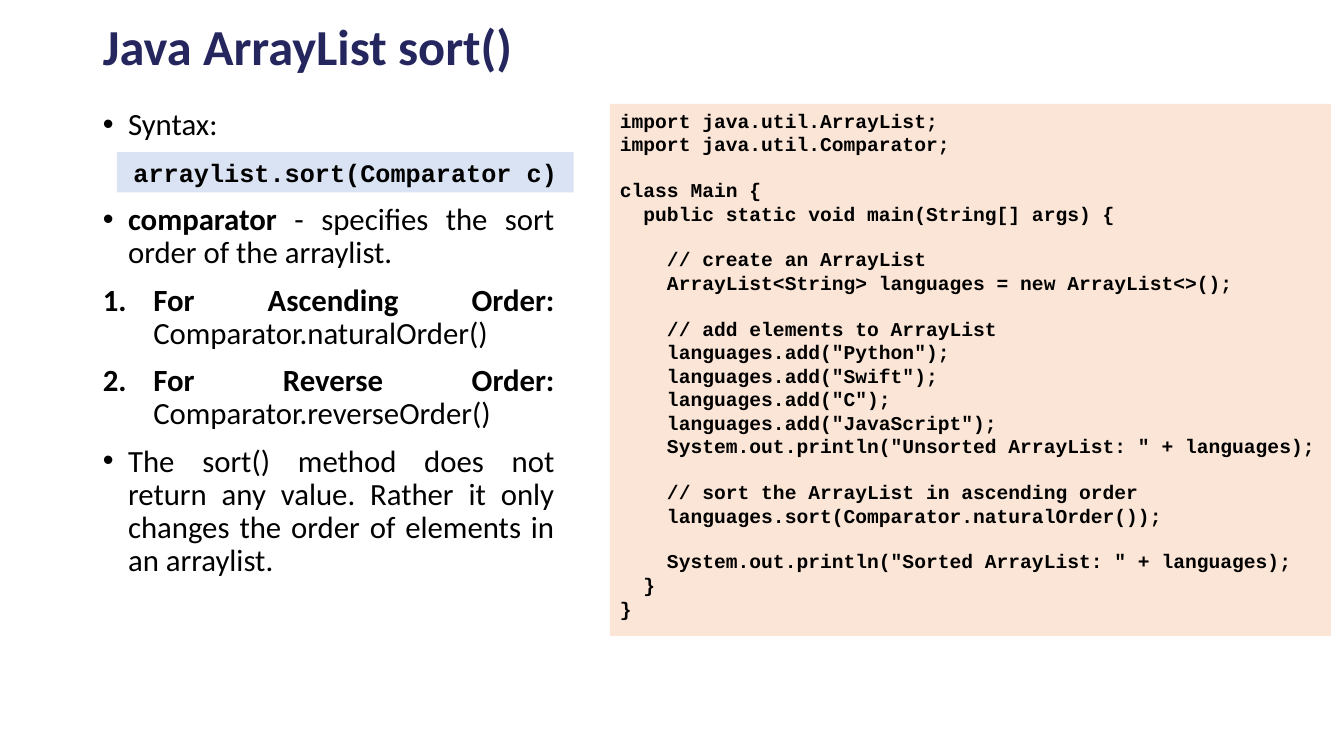
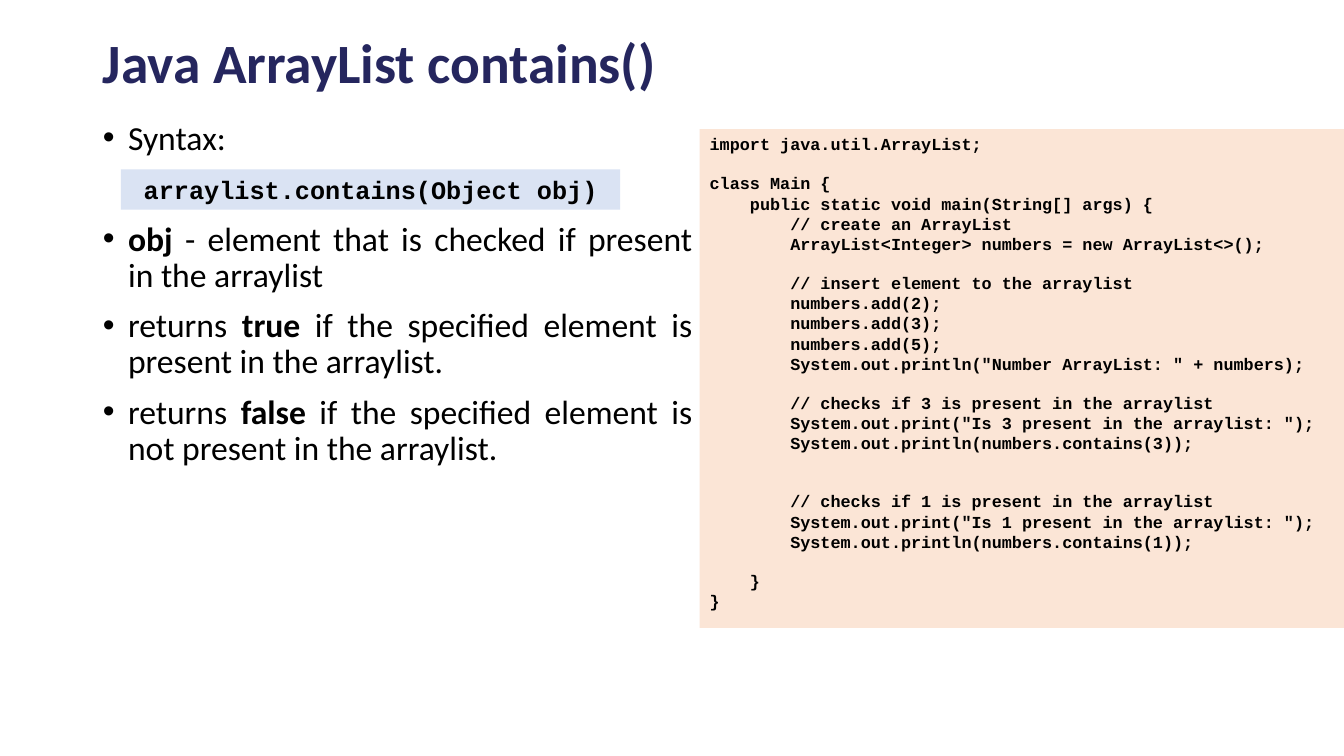
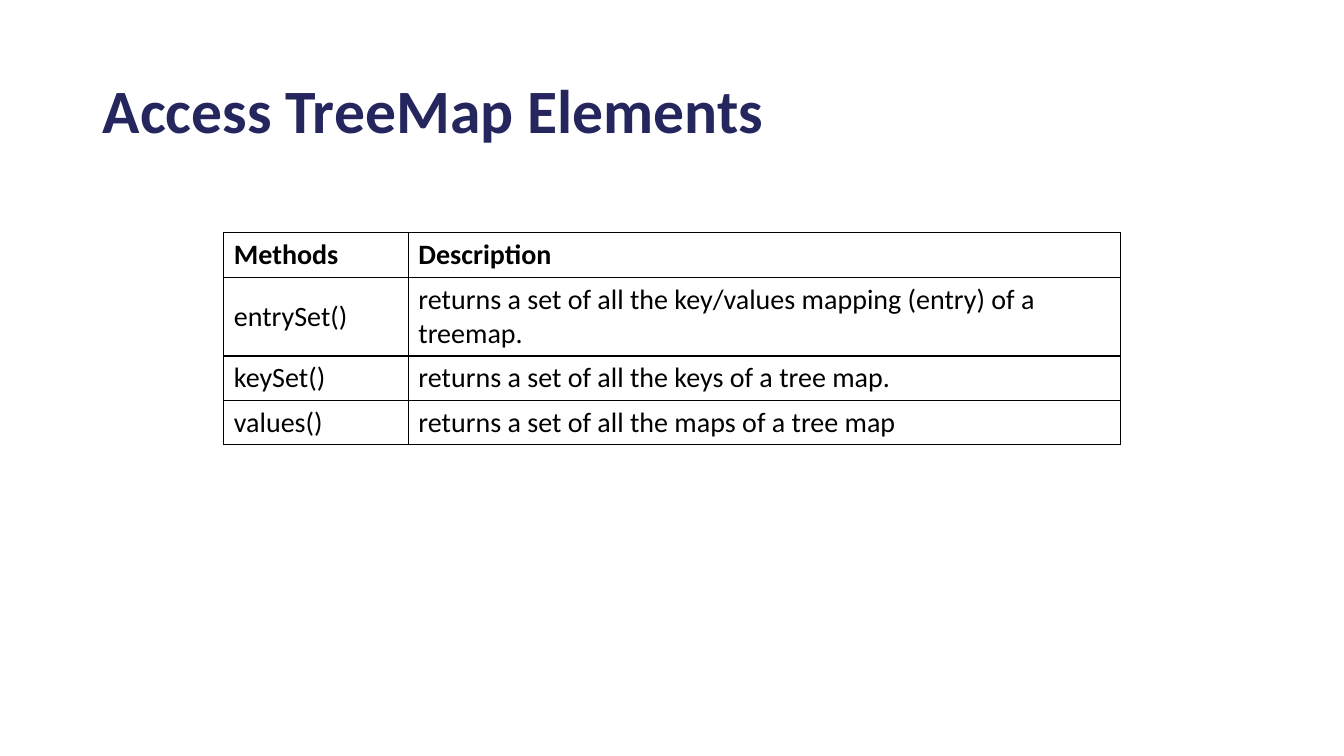
from lxml.etree import SubElement
from pptx import Presentation
from pptx.dml.color import RGBColor
from pptx.enum.shapes import MSO_SHAPE as Preset
from pptx.enum.text import MSO_ANCHOR as Anchor, MSO_AUTO_SIZE as AutoSize, PP_ALIGN as Align
from pptx.oxml import parse_xml
from pptx.oxml.ns import nsdecls, qn
from pptx.util import Inches, Pt

# Shared style
NAVY, BLACK = "25265E", "000000"
SYNTAX_BLUE, CODE_PEACH = "DAE3F3", "FBE5D6"
TEXT_FONT, CODE_FONT = "Calibri", "Courier New"
LEFT = 0.92
TITLE_WIDTH = 11.5
LINE_SPACING = 0.9
PARA_GAP = 10
TEXT_LINE, CODE_LINE = 1.22, 1.133  # line height as a share of font size

# Layout positions in the default template
TITLE_AND_CONTENT, TITLE_ONLY = 1, 5

SORT_CODE = """import java.util.ArrayList;
import java.util.Comparator;

class Main {
  public static void main(String[] args) {

    // create an ArrayList
    ArrayList<String> languages = new ArrayList<>();

    // add elements to ArrayList
    languages.add("Python");
    languages.add("Swift");
    languages.add("C");
    languages.add("JavaScript");
    System.out.println("Unsorted ArrayList: " + languages);

    // sort the ArrayList in ascending order
    languages.sort(Comparator.naturalOrder());

    System.out.println("Sorted ArrayList: " + languages);
  }
}"""

CONTAINS_CODE = """import java.util.ArrayList;

class Main {
    public static void main(String[] args) {
        // create an ArrayList
        ArrayList<Integer> numbers = new ArrayList<>();

        // insert element to the arraylist
        numbers.add(2);
        numbers.add(3);
        numbers.add(5);
        System.out.println("Number ArrayList: " + numbers);

        // checks if 3 is present in the arraylist
        System.out.print("Is 3 present in the arraylist: ");
        System.out.println(numbers.contains(3));


        // checks if 1 is present in the arraylist
        System.out.print("Is 1 present in the arraylist: ");
        System.out.println(numbers.contains(1));

    }
}"""

# List items: marker, then (text, bold) runs
SORT_ITEMS = [
    ("•", [("Syntax:", False)]),
    ("•", [("comparator", True), (" - specifies the sort order of the arraylist.", False)]),
    ("1.", [("For Ascending Order: ", True), ("Comparator.naturalOrder()", False)]),
    ("1.", [("For Reverse Order: ", True), ("Comparator.reverseOrder()", False)]),
    ("•", [("The sort() method does not return any value. Rather it only changes "
            "the order of elements in an arraylist.", False)]),
]

CONTAINS_ITEMS = [
    ("•", [("Syntax:", False)]),
    ("•", [("obj", True), (" - element that is checked if present in the arraylist", False)]),
    ("•", [("returns ", False), ("true", True),
           (" if the specified element is present in the arraylist.", False)]),
    ("•", [("returns ", False), ("false", True),
           (" if the specified element is not present in the arraylist.", False)]),
]

TREEMAP_ROWS = [
    ("Methods", "Description"),
    ("entrySet()", "returns a set of all the key/values mapping (entry) of a treemap."),
    ("keySet()", "returns a set of all the keys of a tree map."),
    ("values()", "returns a set of all the maps of a tree map"),
]


def color(value):
    return RGBColor.from_string(value)


def place(shape, left, top, width, height):
    shape.left, shape.top = Inches(left), Inches(top)
    shape.width, shape.height = Inches(width), Inches(height)


def add_run(para, text, size, bold=False, font=TEXT_FONT, ink=BLACK):
    span = para.add_run()
    span.text = text
    span.font.name, span.font.size, span.font.bold = font, Pt(size), bold
    span.font.color.rgb = color(ink)


def next_para(frame, index):
    return frame.add_paragraph() if index else frame.paragraphs[0]


def set_marker(para, marker):
    """Give a list paragraph its hanging indent and bullet or number."""
    numbered = marker == "1."
    indent = Inches(0.5 if numbered else 0.25)
    props = para._p.get_or_add_pPr()
    props.set("marL", str(indent))
    props.set("indent", str(-indent))
    SubElement(props, qn("a:buFont"), typeface=TEXT_FONT if numbered else "Arial")
    if numbered:
        SubElement(props, qn("a:buAutoNum"), type="arabicPeriod")
    else:
        SubElement(props, qn("a:buChar"), char=marker)


def add_titled_slide(deck, layout, title, top, height, size):
    page = deck.slides.add_slide(deck.slide_layouts[layout])
    box = page.shapes.title
    place(box, LEFT, top, TITLE_WIDTH, height)
    frame = box.text_frame
    frame.auto_size, frame.vertical_anchor = AutoSize.NONE, Anchor.MIDDLE
    para = frame.paragraphs[0]
    para.alignment, para.line_spacing = Align.LEFT, LINE_SPACING
    add_run(para, title, size, bold=True, ink=NAVY)
    return page


def fill_body(page, items, top, width, size):
    """Write the list, leaving room for the syntax strip after the first item."""
    box = page.placeholders[1]
    place(box, LEFT, top, width, 4.76)
    frame = box.text_frame
    frame.auto_size = AutoSize.NONE
    strip_gap = size * TEXT_LINE * LINE_SPACING + 2 * PARA_GAP
    for index, (marker, runs) in enumerate(items):
        para = next_para(frame, index)
        set_marker(para, marker)
        para.alignment = Align.JUSTIFY if index else Align.LEFT
        para.line_spacing = LINE_SPACING
        para.space_before = Pt({0: 0, 1: strip_gap}.get(index, PARA_GAP))
        for text, bold in runs:
            add_run(para, text, size, bold)


def add_code_box(page, code, at, fill, size, align=Align.LEFT):
    """Draw a filled code panel; empty code lines become space before the next."""
    box = page.shapes.add_shape(Preset.RECTANGLE, *map(Inches, at))
    box.shadow.inherit = False
    box.fill.solid()
    box.fill.fore_color.rgb = color(fill)
    box.line.fill.background()
    frame = box.text_frame
    frame.word_wrap, frame.vertical_anchor = True, Anchor.TOP
    empty_lines = index = 0
    for line in code.splitlines():
        if not line:
            empty_lines += 1
            continue
        para = next_para(frame, index)
        para.alignment = align
        para.space_before = Pt(empty_lines * size * CODE_LINE)
        add_run(para, line, size, bold=True, font=CODE_FONT)
        empty_lines, index = 0, index + 1


def add_borders(cell):
    props = cell._tc.get_or_add_tcPr()
    for position, side in enumerate(("lnL", "lnR", "lnT", "lnB")):
        props.insert(position, parse_xml(
            f'<a:{side} {nsdecls("a")} w="{Pt(1)}"><a:solidFill>'
            f'<a:srgbClr val="{BLACK}"/></a:solidFill></a:{side}>'))


def add_methods_table(page, rows, left, top, widths, row_height):
    frame = page.shapes.add_table(len(rows), len(widths), Inches(left), Inches(top),
                                  Inches(sum(widths)), Inches(row_height * len(rows)))
    table = frame.table
    table.first_row = table.horz_banding = False
    for column, width in zip(table.columns, widths):
        column.width = Inches(width)
    for row_index, row in enumerate(rows):
        for column_index, text in enumerate(row):
            cell = table.cell(row_index, column_index)
            cell.fill.background()
            cell.vertical_anchor = Anchor.MIDDLE
            add_borders(cell)
            add_run(cell.text_frame.paragraphs[0], text, 20, bold=row_index == 0)


def main():
    deck = Presentation()
    deck.slide_width, deck.slide_height = Inches(13.33), Inches(7.5)

    # Sorting a list
    page = add_titled_slide(deck, TITLE_AND_CONTENT, "Java ArrayList sort()", 0.23, 0.52, 36)
    fill_body(page, SORT_ITEMS, 1.03, 4.68, 22)
    add_code_box(page, "arraylist.sort(Comparator c)", (1.16, 1.51, 4.53, 0.4),
                 SYNTAX_BLUE, 18, Align.CENTER)
    add_code_box(page, SORT_CODE, (6.05, 1.03, 7.15, 5.28), CODE_PEACH, 14)

    # Searching a list
    page = add_titled_slide(deck, TITLE_AND_CONTENT, "Java ArrayList contains()",
                            0.36, 0.58, 39.6)
    fill_body(page, CONTAINS_ITEMS, 1.15, 6.05, 24)
    add_code_box(page, "arraylist.contains(Object obj)", (1.2, 1.68, 4.95, 0.4),
                 SYNTAX_BLUE, 18, Align.CENTER)
    add_code_box(page, CONTAINS_CODE, (6.94, 1.28, 6.39, 4.95), CODE_PEACH, 12)

    # Reading a tree map
    page = add_titled_slide(deck, TITLE_ONLY, "Access TreeMap Elements", 0.4, 1.45, 44)
    add_methods_table(page, TREEMAP_ROWS, 2.22, 2.31, (1.83, 7.06), 0.41)

    deck.save("out.pptx")


if __name__ == "__main__":
    main()
